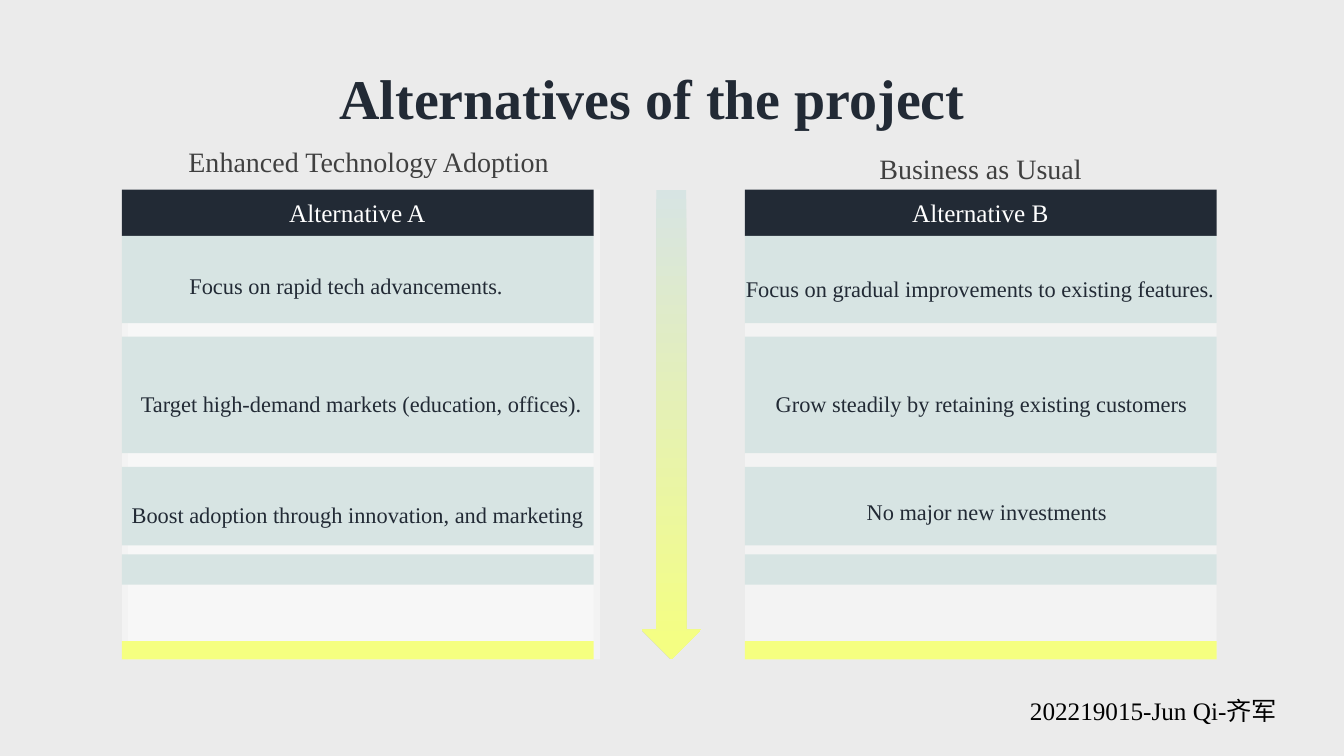
"""Build a slide comparing two project alternatives side by side."""
import pptx
import pptx.util
import pptx.dml.color
import pptx.enum.shapes
import pptx.enum.text
from lxml import etree

Pt = pptx.util.Pt
RGB = pptx.dml.color.RGBColor
SHAPE = pptx.enum.shapes.MSO_SHAPE
ALIGN = pptx.enum.text.PP_ALIGN

BACKDROP = RGB(0xEB, 0xEB, 0xEB)
NAVY = RGB(0x22, 0x2A, 0x35)
MIST = RGB(0xD7, 0xE4, 0xE3)
LEMON = RGB(0xF5, 0xFF, 0x80)
GREY = RGB(0x40, 0x40, 0x40)
WHITE = RGB(0xFF, 0xFF, 0xFF)
BLACK = RGB(0, 0, 0)
FONT = "Times New Roman"

TITLE = "Alternatives of the project"
AUTHOR = "202219015-Jun Qi-齐军"
ALTERNATIVES = [
    {"left": 87, "panels": [91.5, 87], "name": ("Alternative A", 180),
     "summary": ("Enhanced Technology Adoption", 127.5, 99.4, 274),
     "points": [("Focus on rapid tech advancements.", 128.2, 171.4, 242),
                ("Target high-demand markets (education, offices).", 93.6, 255.6, 355),
                ("Boost adoption through innovation, and marketing", 87, 335.5, 355)]},
    {"left": 532, "panels": [532], "name": ("Alternative B", 625),
     "summary": ("Business as Usual", 621, 104.4, 181),
     "points": [("Focus on gradual improvements to existing features.", 525.6, 173.5, 362),
                ("Grow steadily by retaining existing customers", 547, 255.6, 320),
                ("No major new investments", 612, 333.4, 193)]},
]
BANDS = [(135.4, 33.1, NAVY), (168.5, 62.4, MIST), (240.5, 83.2, MIST),
         (333.4, 56.2, MIST), (396, 21.6, MIST), (458, 13, LEMON)]
CARD_TOP, CARD_WIDTH, CARD_HEIGHT = 135.4, 337, 335.6
ARROW_CENTER, ARROW_WIDTH = 479.5, 42.5


def write(frame, text, size=16, color=NAVY, bold=False, align=ALIGN.LEFT,
          spacing=None, wrap=True):
    """Put one formatted paragraph into a text frame."""
    frame.word_wrap = wrap
    paragraph = frame.paragraphs[0]
    paragraph.alignment = align
    paragraph.line_spacing = spacing
    run = paragraph.add_run()
    run.text = text
    run.font.name, run.font.size, run.font.bold = FONT, Pt(size), bold
    run.font.color.rgb = color


def add_label(slide, text, left, top, width, height=29, **style):
    """Add a text box holding one paragraph."""
    box = slide.shapes.add_textbox(Pt(left), Pt(top), Pt(width), Pt(height))
    write(box.text_frame, text, **style)


def add_block(shapes, left, top, width, height, color, opacity=100):
    """Add a borderless rectangle."""
    block = shapes.add_shape(SHAPE.RECTANGLE, Pt(left), Pt(top), Pt(width), Pt(height))
    block.shadow.inherit = False
    block.line.fill.background()
    block.fill.solid()
    block.fill.fore_color.rgb = color
    if opacity < 100:
        tint = block.fill._xPr.find(".//{*}srgbClr")
        namespace = etree.QName(tint).namespace
        etree.SubElement(tint, f"{{{namespace}}}alpha", val=str(opacity * 1000))


def add_alternative(slide, alternative):
    """Draw one card with its bands, headings and points."""
    for left in alternative["panels"]:
        add_block(slide.shapes, left, CARD_TOP, CARD_WIDTH, CARD_HEIGHT, WHITE, opacity=40)
    bands = slide.shapes.add_group_shape()
    for top, height, color in BANDS:
        add_block(bands.shapes, alternative["left"], top, CARD_WIDTH, height, color)
    name, left = alternative["name"]
    add_label(slide, name, left, 137.5, 150.5, size=18, color=WHITE, align=ALIGN.CENTER)
    add_label(slide, *alternative["summary"], size=20, color=GREY, wrap=False)
    for point in alternative["points"]:
        add_label(slide, *point, height=46, spacing=2.0)


def add_arrow(slide):
    """Draw the gradient arrow pointing down between the cards."""
    arrow = slide.shapes.add_shape(
        SHAPE.RIGHT_ARROW, Pt(ARROW_CENTER - CARD_HEIGHT / 2),
        Pt(CARD_TOP + (CARD_HEIGHT - ARROW_WIDTH) / 2), Pt(CARD_HEIGHT), Pt(ARROW_WIDTH))
    arrow.rotation = 90
    arrow.shadow.inherit = False
    arrow.line.fill.background()
    arrow.fill.gradient()
    arrow.fill.gradient_angle = 0
    for stop, color, position in zip(arrow.fill.gradient_stops, (MIST, LEMON), (0, 1)):
        stop.color.rgb = color
        stop.position = position


def main():
    """Assemble and save the slide."""
    deck = pptx.Presentation()
    deck.slide_width, deck.slide_height = Pt(960), Pt(540)
    slide = deck.slides.add_slide(deck.slide_layouts[5])
    slide.background.fill.solid()
    slide.background.fill.fore_color.rgb = BACKDROP
    title = slide.shapes.title
    title.left, title.top, title.width, title.height = Pt(235.4), Pt(39), Pt(540.7), Pt(60)
    write(title.text_frame, TITLE, size=40, bold=True)
    for alternative in ALTERNATIVES:
        add_alternative(slide, alternative)
    add_arrow(slide)
    add_label(slide, AUTHOR, 728.6, 493.2, 215.3, size=18, color=BLACK, wrap=False)
    deck.save("out.pptx")


if __name__ == "__main__":
    main()
